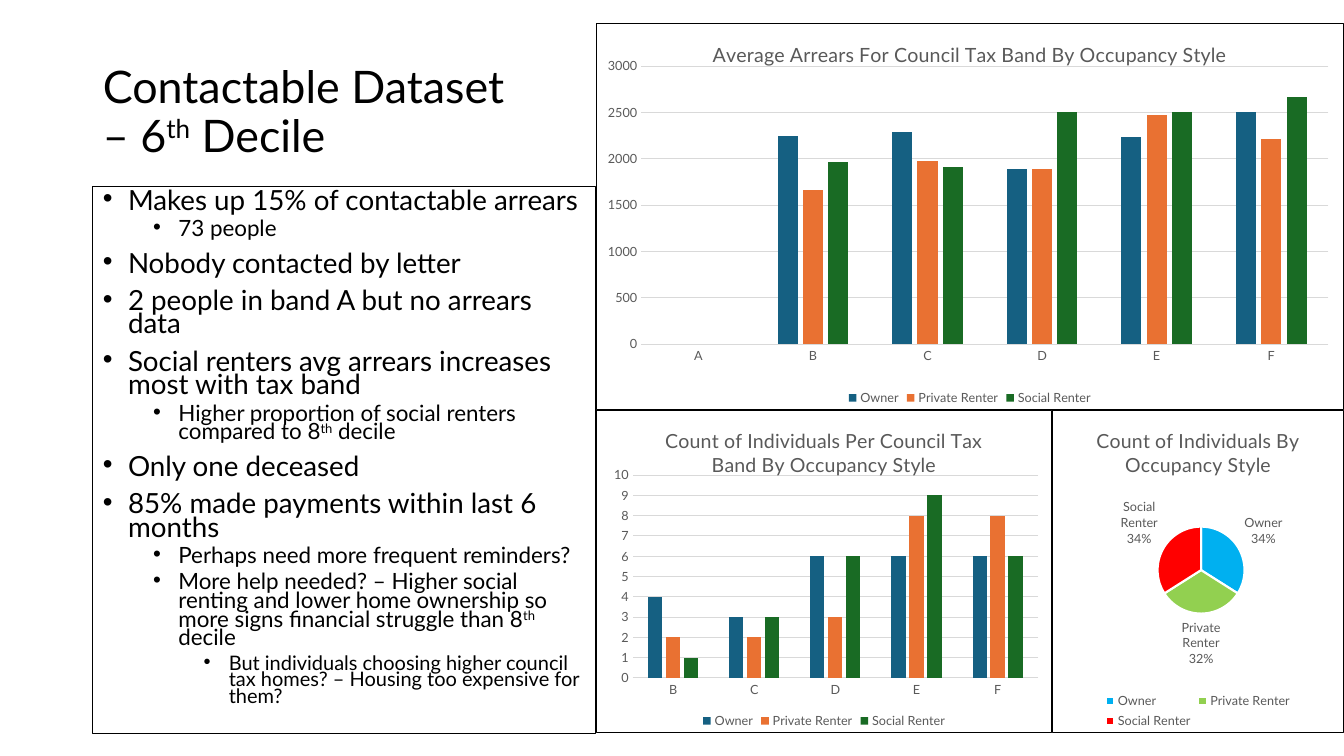
from dataclasses import dataclass

from lxml import etree
from pptx import Presentation
from pptx.chart.data import CategoryChartData
from pptx.dml.color import RGBColor
from pptx.enum.chart import XL_CHART_TYPE, XL_LABEL_POSITION, XL_LEGEND_POSITION, XL_TICK_MARK
from pptx.enum.text import MSO_ANCHOR, MSO_AUTO_SIZE, PP_ALIGN
from pptx.oxml import parse_xml
from pptx.oxml.ns import qn
from pptx.util import Inches, Pt

COLUMNS = XL_CHART_TYPE.COLUMN_CLUSTERED
PIE = XL_CHART_TYPE.PIE
LEGEND_BOTTOM = XL_LEGEND_POSITION.BOTTOM
LABEL_OUTSIDE = XL_LABEL_POSITION.OUTSIDE_END
NO_TICK = XL_TICK_MARK.NONE
LEFT, CENTER = PP_ALIGN.LEFT, PP_ALIGN.CENTER
TOP, MIDDLE = MSO_ANCHOR.TOP, MSO_ANCHOR.MIDDLE
NO_FIT = MSO_AUTO_SIZE.NONE

FONT = "Lato"
BLACK, WHITE, GREY, PALE = "000000", "FFFFFF", "595959", "D9D9D9"
TENURES = ("Owner", "Private Renter", "Social Renter")
BAR_COLORS = ("156082", "E97132", "196B24")
PIE_COLORS = ("00B0F0", "92D050", "FF0000")

WIDTH, HEIGHT = Inches(13.33), Inches(7.5)
COLUMN, ROW = WIDTH / 100, HEIGHT / 100
TEXT_LEFT, CHARTS_LEFT, PIE_LEFT, RIGHT = 6.9, 44.33, 78.3, 100
CHARTS_TOP, BODY_TOP, LOWER_TOP, BOTTOM = 3.07, 24.67, 54.27, 97

LEVEL_SIZES = (19.8, 16, 14.3)
BULLETS = (
    (0, "Makes up 15% of contactable arrears"),
    (1, "73 people"),
    (0, "Nobody contacted by letter"),
    (0, "2 people in band A but no arrears data"),
    (0, "Social renters avg arrears increases most with tax band"),
    (1, "Higher proportion of social renters compared to 8^th^ decile"),
    (0, "Only one deceased"),
    (0, "85% made payments within last 6 months"),
    (1, "Perhaps need more frequent reminders?"),
    (1, "More help needed? – Higher social renting and lower home ownership so "
        "more signs financial struggle than 8^th^ decile"),
    (2, "But individuals choosing higher council tax homes? – Housing too expensive for them?"),
)


@dataclass(frozen=True)
class Area:
    left: float
    top: float
    right: float
    bottom: float

    def box(self) -> tuple[int, int, int, int]:
        return (round(self.left * COLUMN), round(self.top * ROW),
                round((self.right - self.left) * COLUMN), round((self.bottom - self.top) * ROW))


@dataclass(frozen=True)
class ChartSpec:
    title: str
    area: Area
    plot: tuple[float, float, float, float]
    categories: tuple[str, ...]
    series: dict[str, tuple]
    top_value: int = 0
    step: int = 0


ARREARS = ChartSpec(
    "Average Arrears For Council Tax Band By Occupancy Style",
    Area(CHARTS_LEFT, CHARTS_TOP, RIGHT, LOWER_TOP), (0.06, 0.11, 0.92, 0.72), tuple("ABCDEF"),
    dict(zip(TENURES, ((None, 2250, 2290, 1890, 2230, 2510),
                       (None, 1660, 1980, 1890, 2470, 2210),
                       (None, 1960, 1910, 2510, 2510, 2670)))), 3000, 500)
SHARES = ChartSpec(
    "Count of Individuals By Occupancy Style",
    Area(PIE_LEFT, LOWER_TOP, RIGHT, BOTTOM), (0.36, 0.36, 0.3, 0.27), TENURES,
    {"Series 1": (34, 32, 34)})
COUNTS = ChartSpec(
    "Count of Individuals Per Council Tax Band By Occupancy Style",
    Area(CHARTS_LEFT, LOWER_TOP, PIE_LEFT, BOTTOM), (0.08, 0.2, 0.89, 0.63), tuple("BCDEF"),
    dict(zip(TENURES, ((4, 3, 6, 6, 6), (2, 2, 3, 8, 8), (1, 3, 6, 9, 6)))), 10, 1)


def rgb(color: str) -> RGBColor:
    return RGBColor.from_string(color)


def style_font(font, size: float, color: str) -> None:
    font.name, font.size, font.bold = FONT, Pt(size), False
    font.color.rgb = rgb(color)


def write(paragraph, text: str, *, size: float, color: str = BLACK, align=LEFT,
          spacing: float = 1.0, before: float = 0) -> None:
    paragraph.alignment, paragraph.line_spacing = align, spacing
    paragraph.space_before = Pt(before)
    for index, part in enumerate(text.split("^")):
        run = paragraph.add_run()
        run.text = part
        style_font(run.font, size, color)
        if index % 2:
            run.font._element.set("baseline", "30000")


def place(placeholder, area: Area, anchor):
    placeholder.left, placeholder.top, placeholder.width, placeholder.height = area.box()
    frame = placeholder.text_frame
    frame.word_wrap, frame.auto_size, frame.vertical_anchor = True, NO_FIT, anchor
    return frame


def add_bullet(paragraph, level: int, text: str) -> None:
    write(paragraph, text, size=LEVEL_SIZES[level], spacing=0.7, before=5 if level else 10)
    paragraph.level = level
    properties = paragraph._p.get_or_add_pPr()
    properties.set("marL", str(Inches(0.25 + 0.5 * level)))
    properties.set("indent", str(Inches(-0.25)))
    etree.SubElement(properties, qn("a:buFont"), typeface="Arial")
    etree.SubElement(properties, qn("a:buChar"), char="•")


def frame_chart(chart, plot: tuple[float, float, float, float]) -> None:
    border = parse_xml(
        '<c:spPr xmlns:c="http://schemas.openxmlformats.org/drawingml/2006/chart" '
        'xmlns:a="http://schemas.openxmlformats.org/drawingml/2006/main">'
        f'<a:solidFill><a:srgbClr val="{WHITE}"/></a:solidFill><a:ln w="{Pt(0.75)}">'
        f'<a:solidFill><a:srgbClr val="{BLACK}"/></a:solidFill></a:ln></c:spPr>')
    chart._chartSpace.find(qn("c:chart")).addnext(border)
    plot_area = chart._chartSpace.find(".//" + qn("c:plotArea"))
    for layout in plot_area.findall(qn("c:layout")):
        plot_area.remove(layout)
    layout = etree.Element(qn("c:layout"))
    plot_area.insert(0, layout)
    manual = etree.SubElement(layout, qn("c:manualLayout"))
    settings = zip(("layoutTarget", "xMode", "yMode", "x", "y", "w", "h"),
                   ("inner", "edge", "edge", *plot))
    for tag, value in settings:
        etree.SubElement(manual, qn(f"c:{tag}"), val=str(value))


def add_chart(slide, kind, spec: ChartSpec):
    data = CategoryChartData()
    data.categories = spec.categories
    for name, values in spec.series.items():
        data.add_series(name, values)
    chart = slide.shapes.add_chart(kind, *spec.area.box(), data).chart
    style_font(chart.font, 10, BLACK)
    chart.has_title = True
    write(chart.chart_title.text_frame.paragraphs[0], spec.title, size=14, color=GREY, align=CENTER)
    chart.has_legend = True
    chart.legend.position, chart.legend.include_in_layout = LEGEND_BOTTOM, False
    style_font(chart.legend.font, 9, GREY)
    frame_chart(chart, spec.plot)
    return chart


def add_columns(slide, spec: ChartSpec) -> None:
    chart = add_chart(slide, COLUMNS, spec)
    bars = chart.plots[0]
    bars.gap_width, bars.overlap, bars.vary_by_categories = 219, -27, False
    for series, color in zip(bars.series, BAR_COLORS):
        series.format.fill.solid()
        series.format.fill.fore_color.rgb = rgb(color)
    bands, amounts = chart.category_axis, chart.value_axis
    for axis in (bands, amounts):
        axis.major_tick_mark = axis.minor_tick_mark = NO_TICK
        style_font(axis.tick_labels.font, 9, GREY)
    amounts.minimum_scale, amounts.maximum_scale, amounts.major_unit = 0, spec.top_value, spec.step
    amounts.format.line.fill.background()
    for line in (bands.format.line, amounts.major_gridlines.format.line):
        line.color.rgb, line.width = rgb(PALE), Pt(0.75)


def add_pie(slide, spec: ChartSpec) -> None:
    pie = add_chart(slide, PIE, spec).plots[0]
    pie.vary_by_categories = True
    for index, color in enumerate(PIE_COLORS):
        slice_format = pie.series[0].points[index].format
        slice_format.fill.solid()
        slice_format.fill.fore_color.rgb = rgb(color)
        slice_format.line.color.rgb, slice_format.line.width = rgb(WHITE), Pt(1.5)
    pie.has_data_labels = True
    labels = pie.data_labels
    labels.show_category_name = labels.show_percentage = True
    labels.show_value = False
    labels.number_format, labels.number_format_is_linked = "0%", False
    labels.position = LABEL_OUTSIDE
    style_font(labels.font, 9, GREY)
    separator = etree.Element(qn("c:separator"))
    separator.text = "\n"
    labels._element.find(qn("c:showBubbleSize")).addnext(separator)


def main() -> None:
    deck = Presentation()
    deck.slide_width, deck.slide_height = WIDTH, HEIGHT
    slide = deck.slides.add_slide(deck.slide_layouts[1])
    heading = place(slide.shapes.title, Area(TEXT_LEFT, 5.33, 39.08, BODY_TOP), MIDDLE)
    write(heading.paragraphs[0], "Contactable Dataset – 6^th^ Decile", size=32, spacing=0.9)
    findings = slide.placeholders[1]
    findings.line.color.rgb, findings.line.width = rgb(BLACK), Pt(0.75)
    body = place(findings, Area(TEXT_LEFT, BODY_TOP, CHARTS_LEFT, BOTTOM), TOP)
    for index, (level, text) in enumerate(BULLETS):
        add_bullet(body.add_paragraph() if index else body.paragraphs[0], level, text)
    add_columns(slide, ARREARS)
    add_pie(slide, SHARES)
    add_columns(slide, COUNTS)
    deck.save("out.pptx")


if __name__ == "__main__":
    main()
